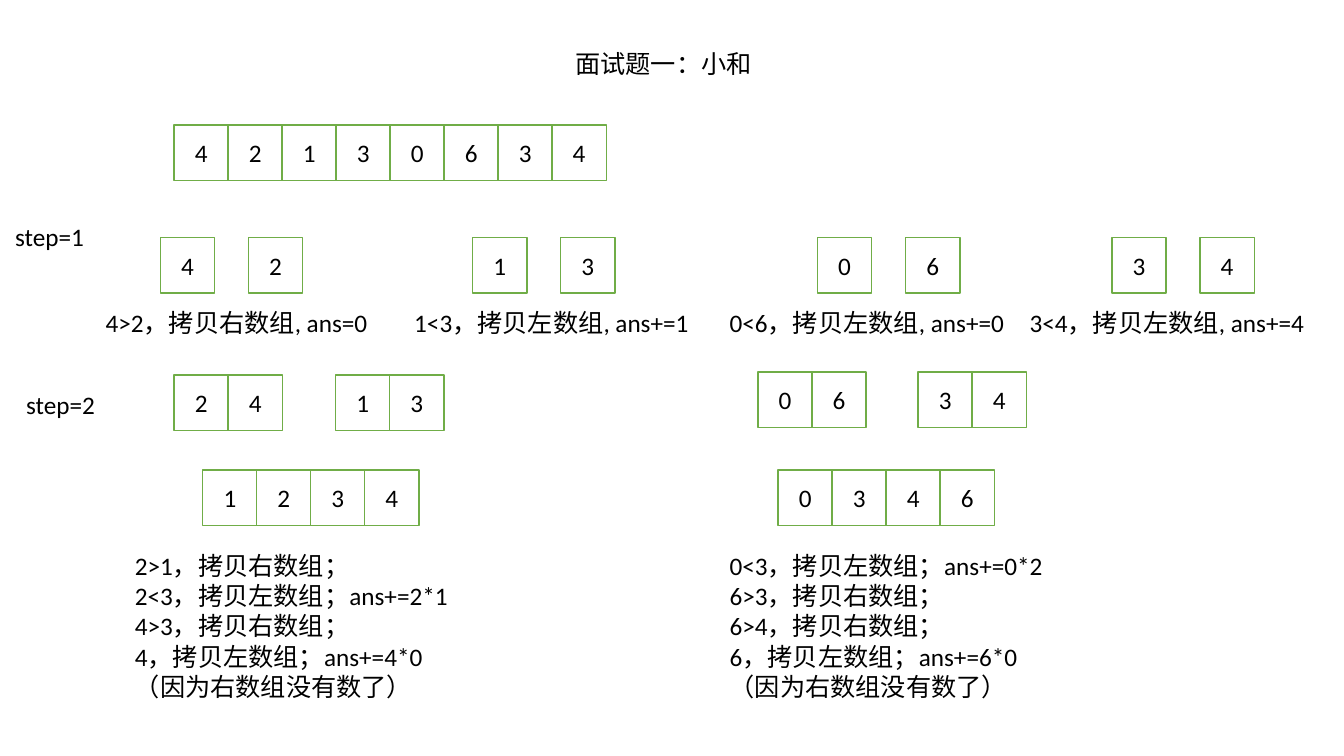
from dataclasses import dataclass

from pptx import Presentation
from pptx.dml.color import RGBColor
from pptx.enum.shapes import MSO_SHAPE
from pptx.enum.text import MSO_ANCHOR, PP_ALIGN
from pptx.util import Cm, Pt

RECT = MSO_SHAPE.RECTANGLE
LEFT, CENTER = PP_ALIGN.LEFT, PP_ALIGN.CENTER
TOP, MIDDLE = MSO_ANCHOR.TOP, MSO_ANCHOR.MIDDLE


@dataclass(frozen=True)
class Theme:
    ink: RGBColor = RGBColor(0, 0, 0)
    fill: RGBColor = RGBColor(255, 255, 255)
    edge: RGBColor = RGBColor(0x70, 0xAD, 0x47)
    font: str = "Calibri"
    size: int = 18
    line: int = 1


THEME = Theme()

# Cell size and column steps, in cm
CELL_W, CELL_H = 1.37, 1.4
JOINED, SPLIT = 1.36, 2.22
LINE_H = 1.02

# Step 1: left of cells, digits, left of label, label
PAIRS = [
    (4.04, "42", 2.41, "4>2，拷贝右数组, ans=0"),
    (11.91, "13", 10.19, "1<3，拷贝左数组, ans+=1"),
    (20.6, "06", 18.14, "0<6，拷贝左数组, ans+=0"),
    (28.02, "34", 25.7, "3<4，拷贝左数组, ans+=4"),
]

# Step 2: top of halves, halves, left of merged array, digits, left of notes, notes
MERGES = [
    (9.45, [(4.39, "24"), (8.46, "13")], 5.11, "1234", 3.15, [
        "2>1，拷贝右数组；",
        "2<3，拷贝左数组；ans+=2*1",
        "4>3，拷贝右数组；",
        "4，拷贝左数组；ans+=4*0",
        "（因为右数组没有数了）",
    ]),
    (9.37, [(19.1, "06"), (23.14, "34")], 19.61, "0346", 18.14, [
        "0<3，拷贝左数组；ans+=0*2",
        "6>3，拷贝右数组；",
        "6>4，拷贝右数组；",
        "6，拷贝左数组；ans+=6*0",
        "（因为右数组没有数了）",
    ]),
]


def write(frame, lines, align=LEFT, anchor=TOP, color=THEME.ink, size=THEME.size):
    frame.word_wrap = True
    frame.vertical_anchor = anchor
    for i, line in enumerate(lines):
        para = frame.paragraphs[0] if i == 0 else frame.add_paragraph()
        para.alignment = align
        run = para.add_run()
        run.text = line
        run.font.name = THEME.font
        run.font.size = Pt(size)
        run.font.color.rgb = color


def label(slide, x, y, width, *lines, height=LINE_H):
    box = slide.shapes.add_textbox(Cm(x), Cm(y), Cm(width), Cm(height))
    write(box.text_frame, lines)


def cell(slide, x, y, digit):
    box = slide.shapes.add_shape(RECT, Cm(x), Cm(y), Cm(CELL_W), Cm(CELL_H))
    box.shadow.inherit = False
    box.fill.solid()
    box.fill.fore_color.rgb = THEME.fill
    box.line.color.rgb = THEME.edge
    box.line.width = Pt(THEME.line)
    write(box.text_frame, [digit], align=CENTER, anchor=MIDDLE)


def array(slide, x, y, digits, pitch=JOINED):
    for i, digit in enumerate(digits):
        cell(slide, x + i * pitch, y, digit)


def main():
    deck = Presentation()
    deck.slide_width, deck.slide_height = Cm(33.87), Cm(19.05)
    slide = deck.slides.add_slide(deck.slide_layouts[6])

    # Title and input array
    label(slide, 14.25, 1.09, 5.33, "面试题一：小和")
    array(slide, 4.39, 3.15, "42130634")

    # Step 1: compare single values
    label(slide, 0.13, 5.46, 2.74, "step=1")
    for x, digits, left, text in PAIRS:
        array(slide, x, 5.99, digits, pitch=SPLIT)
        label(slide, left, 7.62, 8.18, text)

    # Step 2: merge sorted pairs
    label(slide, 0.41, 9.68, 2.74, "step=2")
    for top, halves, x, digits, left, notes in MERGES:
        for start, half in halves:
            array(slide, start, top, half)
        array(slide, x, 11.84, digits)
        label(slide, left, 13.74, 11.46, *notes, height=4.09)

    deck.save("out.pptx")


main()
